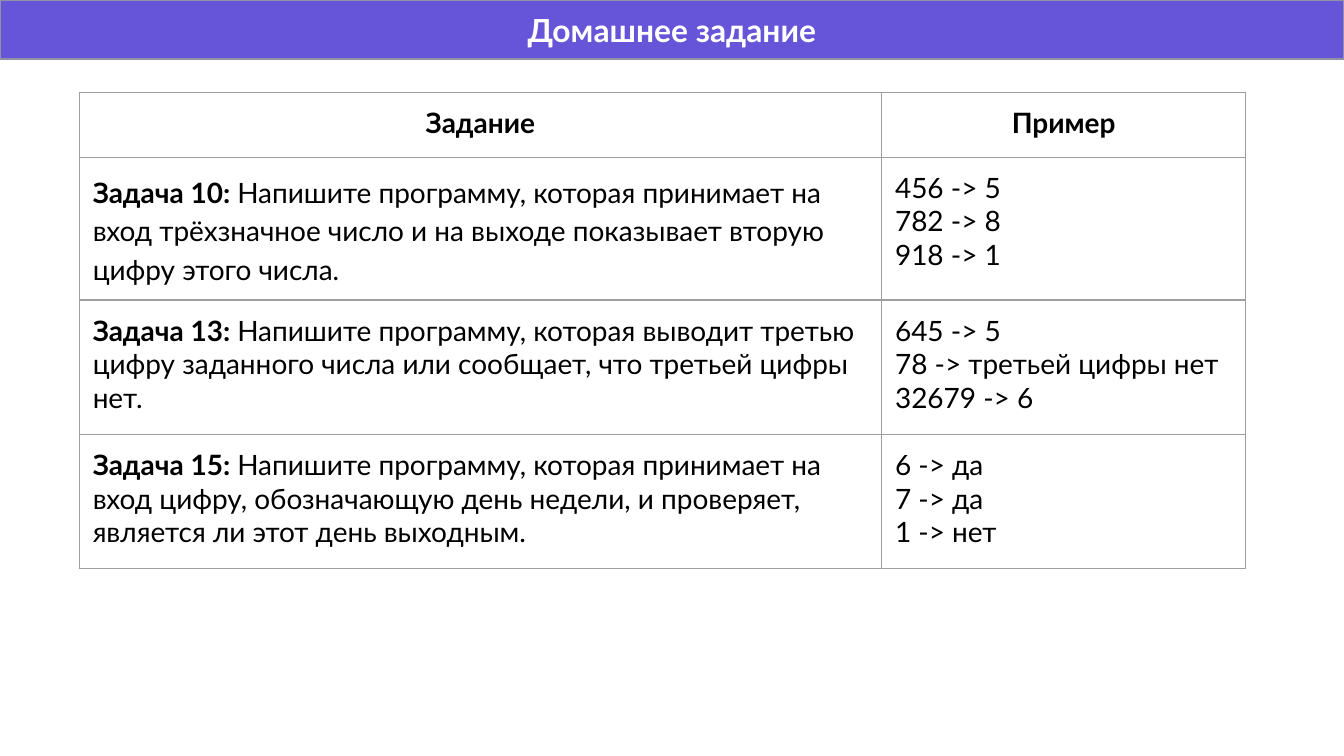
from lxml import etree
from pptx import Presentation
from pptx.dml.color import RGBColor
from pptx.enum import shapes, text
from pptx.oxml.ns import qn
from pptx.util import Inches, Pt

FONT = "Lato"
PURPLE = RGBColor(0x66, 0x54, 0xD9)
BAR_EDGE = RGBColor(0x8F, 0x93, 0xA3)
GRID = RGBColor(0x9E, 0x9E, 0x9E)
WHITE = RGBColor(0xFF, 0xFF, 0xFF)
BLACK = RGBColor(0, 0, 0)

# Content
TITLE = "Домашнее задание"
HEADINGS = ["Задание", "Пример"]
TASKS = [
    ("Задача 10: ",
     "Напишите программу, которая принимает на вход трёхзначное число "
     "и на выходе показывает вторую цифру этого числа.",
     ["456 -> 5", "782 -> 8", "918 -> 1"]),
    ("Задача 13: ",
     "Напишите программу, которая выводит третью цифру заданного числа "
     "или сообщает, что третьей цифры нет.",
     ["645 -> 5", "78 -> третьей цифры нет", "32679 -> 6"]),
    ("Задача 15: ",
     "Напишите программу, которая принимает на вход цифру, обозначающую "
     "день недели, и проверяет, является ли этот день выходным.",
     ["6 -> да", "7 -> да", "1 -> нет"]),
]
COLUMN_WIDTHS = [5.97, 2.71]
ROW_HEIGHTS = [0.48, 1.06, 1, 1]


def set_font(font, size, color, bold=False):
    font.name, font.size, font.bold = FONT, Pt(size), bold
    font.color.rgb = color


def set_margins(box):
    box.margin_left = box.margin_right = Inches(0.1)
    box.margin_top = box.margin_bottom = Inches(0.1)


def add_borders(cell):
    properties = cell._tc.get_or_add_tcPr()
    for position, side in enumerate(("a:lnL", "a:lnR", "a:lnT", "a:lnB")):
        line = etree.Element(qn(side), w=str(Pt(0.75)))
        fill = etree.SubElement(line, qn("a:solidFill"))
        etree.SubElement(fill, qn("a:srgbClr"), val=str(GRID))
        properties.insert(position, line)


def write_lines(cell, lines, bold=False):
    cell.text = "\n".join(lines)
    for paragraph in cell.text_frame.paragraphs:
        set_font(paragraph.font, 15, BLACK, bold)


# Widescreen slide, 16:9
prs = Presentation()
prs.slide_width = Inches(10)
prs.slide_height = prs.slide_width * 9 // 16
slide = prs.slides.add_slide(prs.slide_layouts[6])

# Title bar
bar = slide.shapes.add_shape(
    shapes.MSO_SHAPE.RECTANGLE, 0, 0, prs.slide_width, Inches(0.44))
bar.shadow.inherit = False
bar.fill.solid()
bar.fill.fore_color.rgb = PURPLE
bar.line.color.rgb = BAR_EDGE
bar.line.width = Pt(0.75)
set_margins(bar.text_frame)
bar.text_frame.vertical_anchor = text.MSO_ANCHOR.MIDDLE
bar.text_frame.text = TITLE
title = bar.text_frame.paragraphs[0]
title.alignment = text.PP_ALIGN.CENTER
set_font(title.font, 17, WHITE, bold=True)

# Homework table
homework = slide.shapes.add_table(
    len(TASKS) + 1, len(HEADINGS), Inches(0.59), Inches(0.69),
    Inches(sum(COLUMN_WIDTHS)), Inches(sum(ROW_HEIGHTS))).table
homework.first_row = homework.horz_banding = False
for column, width in zip(homework.columns, COLUMN_WIDTHS):
    column.width = Inches(width)
for row, height in zip(homework.rows, ROW_HEIGHTS):
    row.height = Inches(height)
for cell in homework.iter_cells():
    cell.fill.background()
    set_margins(cell)
    add_borders(cell)

# Headings
for col, heading in enumerate(HEADINGS):
    cell = homework.cell(0, col)
    write_lines(cell, [heading], bold=True)
    cell.text_frame.paragraphs[0].alignment = text.PP_ALIGN.CENTER

# Tasks and their examples
for row, (label, task, examples) in enumerate(TASKS, start=1):
    paragraph = homework.cell(row, 0).text_frame.paragraphs[0]
    for words, bold in ((label, True), (task, False)):
        run = paragraph.add_run()
        run.text = words
        set_font(run.font, 15, BLACK, bold)
    write_lines(homework.cell(row, 1), examples)

# The first task is set looser than the others
first_task = homework.cell(1, 0).text_frame.paragraphs[0]
first_task.line_spacing = 1.15
first_task.space_before = first_task.space_after = Pt(12)

prs.save("out.pptx")
